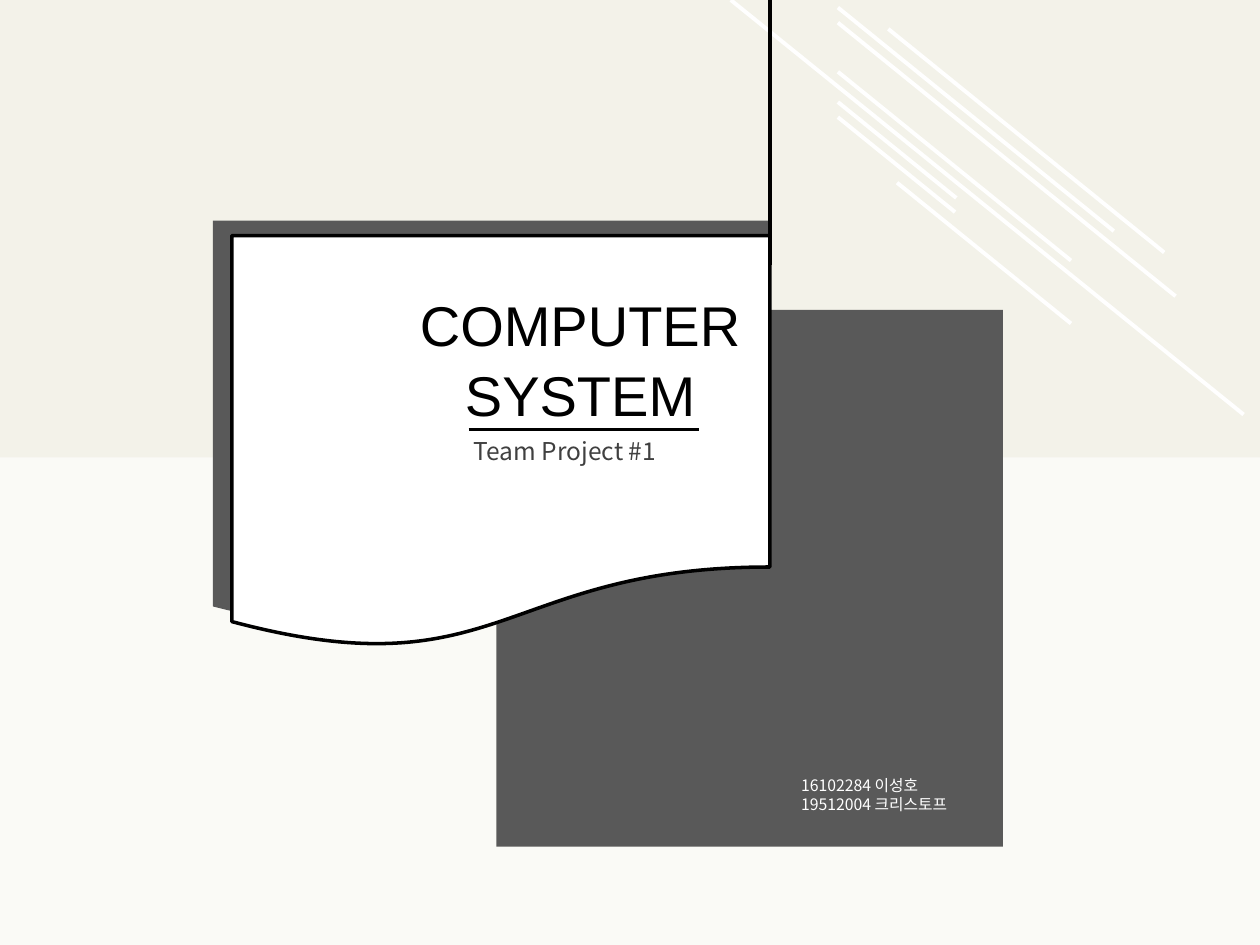
from dataclasses import dataclass

from lxml import etree
from pptx import Presentation
from pptx.dml.color import RGBColor as RGB
from pptx.enum.shapes import MSO_CONNECTOR as Link, MSO_SHAPE as Form
from pptx.enum.text import MSO_ANCHOR as Anchor, MSO_AUTO_SIZE as Fit, PP_ALIGN as Align
from pptx.oxml.ns import qn
from pptx.util import Inches, Pt


@dataclass(frozen=True)
class Theme:
    back: RGB = RGB.from_string("F3F2E9")
    white: RGB = RGB.from_string("FFFFFF")
    black: RGB = RGB.from_string("000000")
    panel: RGB = RGB.from_string("595959")
    gray: RGB = RGB.from_string("404040")
    latin: str = "Arial"
    korean: str = "Noto Sans CJK KR"
    title: int = 32
    sub: int = 14
    small: int = 9


theme = Theme()


def write(box, text, area, *, size, color, font, align=Align.LEFT,
          anchor=Anchor.TOP, space=1.0):
    """Place a text shape and fill it, one paragraph per line of text."""
    box.left, box.top, box.width, box.height = map(Inches, area)
    frame = box.text_frame
    frame.text = text
    frame.word_wrap = True
    frame.auto_size = Fit.NONE
    frame.vertical_anchor = anchor
    for para in frame.paragraphs:
        para.alignment = align
        para.line_spacing = space
        para.space_before = para.space_after = Pt(0)
        for run in para.runs:
            run.font.size = Pt(size)
            run.font.color.rgb = color
            run.font.name = font
            props = run.font._element
            etree.SubElement(props, qn("a:ea")).set("typeface", font)


def rule(start, end, color, width):
    """Draw a straight line without shadow."""
    line = slide.shapes.add_connector(
        Link.STRAIGHT, *map(Inches, (*start, *end)))
    line.line.color.rgb = color
    line.line.width = Pt(width)
    etree.SubElement(line._element.spPr, qn("a:effectLst"))


deck = Presentation()
deck.slide_width, deck.slide_height = Inches(10), Inches(7.5)
slide = deck.slides.add_slide(deck.slide_layouts[0])
fill = slide.background.fill
fill.solid()
fill.fore_color.rgb = theme.back

# Backdrop and panels
rule((5.8, 0), (9.87, 3.29), theme.white, 2.25)
panels = [
    (Form.RECTANGLE, (0, 3.63, 10, 3.87), theme.white, 62, None),
    (Form.FLOWCHART_DOCUMENT, (1.69, 1.75, 4.42, 3.28), theme.panel, 100, None),
    (Form.RECTANGLE, (3.94, 2.46, 4.02, 4.26), theme.panel, 100, None),
    (Form.FLOWCHART_DOCUMENT, (1.84, 1.87, 4.27, 3.28), theme.white, 100, theme.black),
]
for form, area, color, alpha, edge in panels:
    panel = slide.shapes.add_shape(form, *map(Inches, area))
    panel.shadow.inherit = False
    panel.fill.solid()
    panel.fill.fore_color.rgb = color
    if alpha < 100:
        tone = panel._element.spPr.find(".//" + qn("a:srgbClr"))
        etree.SubElement(tone, qn("a:alpha")).set("val", str(alpha * 1000))
    if edge is None:
        panel.line.fill.background()
    else:
        panel.line.color.rgb = edge
        panel.line.width = Pt(2)

# Title, subtitle and team, in front of the panels
title, sub = slide.shapes.title, slide.placeholders[1]
for holder in (title, sub):
    slide.shapes.element.append(holder.element)
write(title, "COMPUTER\nSYSTEM", (3.19, 2.25, 2.83, 1.18), size=theme.title,
      color=theme.black, font=theme.latin, align=Align.CENTER,
      anchor=Anchor.MIDDLE, space=1.04)
write(sub, "Team Project #1", (3.66, 3.41, 1.89, 0.34), size=theme.sub,
      color=theme.gray, font=theme.korean)
team = slide.shapes.add_textbox(0, 0, 0, 0)
write(team, "16102284 이성호\n19512004 크리스토프", (6.26, 6.11, 1.74, 0.4),
      size=theme.small, color=theme.white, font=theme.korean)

# Title underline and hanging cord
rule((3.72, 3.41), (5.55, 3.41), theme.black, 1.5)
rule((6.11, 2.1), (6.11, 0), theme.black, 2.25)

# Slanted strokes: left, top and run, all at one slope
slope = 0.81
strokes = [
    (6.65, 0.06, 2.19), (6.65, 0.18, 2.68), (6.65, 0.57, 1.85),
    (6.65, 0.81, 0.94), (6.65, 0.93, 0.93), (7.12, 1.45, 1.38),
    (7.05, 0.23, 2.19),
]
for left, top, run in strokes:
    rule((left, top), (left + run, top + slope * run), theme.white, 2.25)

deck.save("out.pptx")
